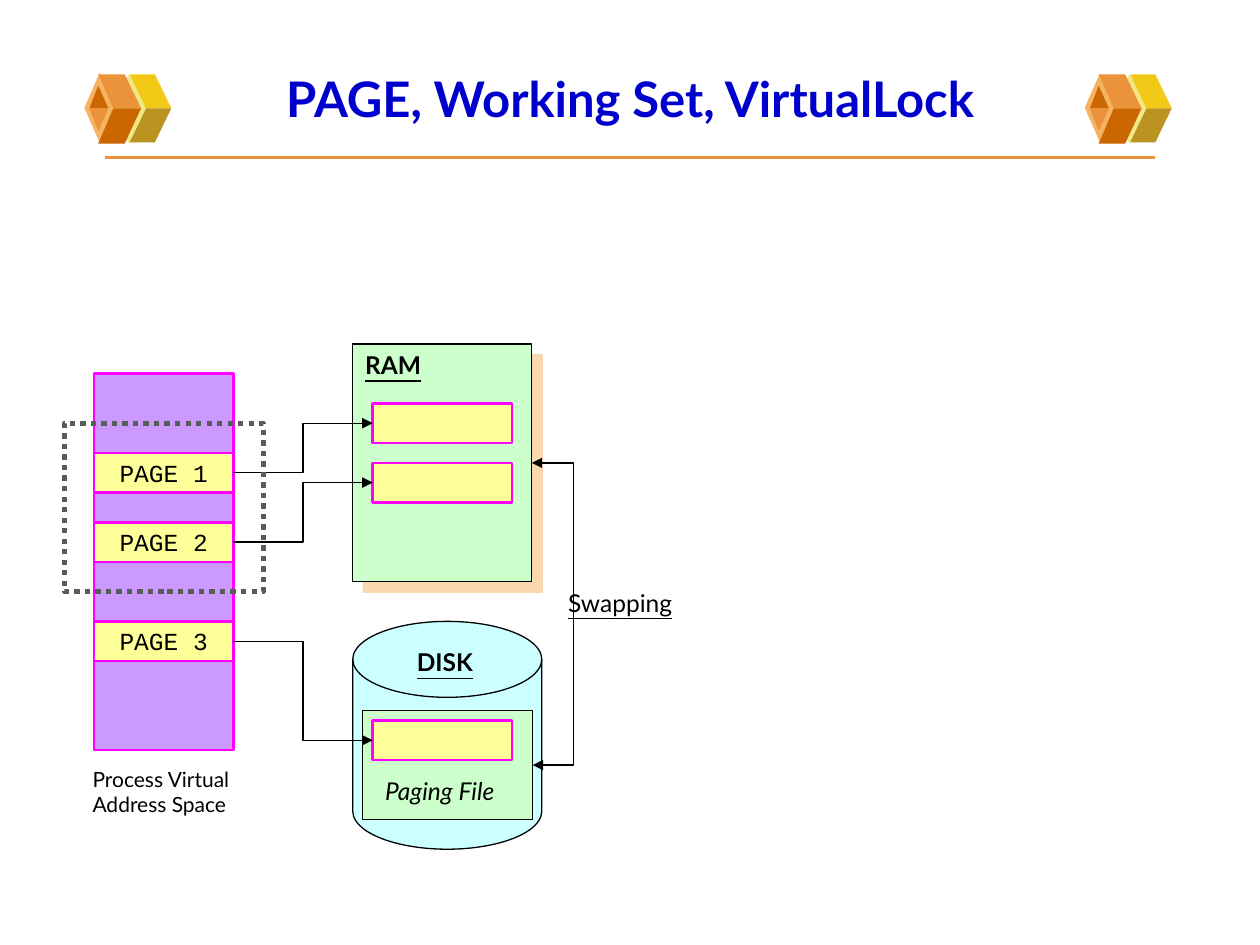
from lxml import etree
from pptx import Presentation
from pptx import util as u
from pptx.dml.color import RGBColor
from pptx.enum import dml, shapes, text
from pptx.oxml.ns import qn

WIDTH, HEIGHT = 10, 7.5
ORIGIN_X, ORIGIN_Y = 0.51, 2.73
CELL_W, CELL_H = 3.79 / 48, 4.01 / 51
PAGE_SIZE = (14, 4)
PAGE_COLUMN, FRAME_COLUMN = 3, 31
SWAP_BEND = 51.2

KINDS = {"rect": shapes.MSO_SHAPE.RECTANGLE, "diamond": shapes.MSO_SHAPE.DIAMOND,
         "disk": shapes.MSO_SHAPE.FLOWCHART_MAGNETIC_DISK}
TITLE = "PAGE, Working Set, VirtualLock"
# (caption, page row, frame row)
PAGES = [("PAGE 1", 11, 6), ("PAGE 2", 18, 12), ("PAGE 3", 28, 38)]
# name: kind, cells (column, row, columns, rows), fill, line, line width
AREAS = {
    "address space": ("rect", (3, 3, 14, 38), "CC99FF", "FF00FF", 1.5),
    "ram": ("rect", (29, 0, 18, 24), "CCFFCC", "000000", 0.75),
    "disk": ("disk", (29, 28, 19, 23), "CCFFFF", "000000", 0.75),
    "paging file": ("rect", (30, 37, 17.1, 11), "CCFFCC", "000000", 0.75),
}
WORKING_SET = ("rect", (0, 8, 20, 17), None, "585D57", 3)
# lines, cells, size, font styles
LABELS = [
    (["DISK"], (34.2, 30, 10, 4.3), 14, ("bold", "underline")),
    (["RAM"], (29, 0, 10, 4.3), 14, ("bold", "underline")),
    (["Paging File"], (31, 43, 15.2, 4.3), 14, ("italic",)),
    (["Process Virtual", "Address Space"], (1.6, 42, 19, 6.4), 12, ()),
    (["Swapping"], (49.4, 24, 15, 4.3), 14, ("underline",)),
]
# Cube faces in hundredths of an inch; a diamond has left, top, width, height
CUBE_LEFTS = (0, 794)
CUBE_FACES = [
    ("F1E785", (86, 59, 33, 55)),
    ("F3C917", [(116, 86), (136, 86), (123, 59), (103, 59)]),
    ("BB9321", [(116, 86), (136, 86), (123, 113), (103, 113)]),
    ("F5B363", (67, 58, 24, 55)),
    ("EB933B", [(90, 86), (112, 86), (99, 59), (78, 59)]),
    ("CC6600", [(90, 86), (112, 86), (99, 114), (78, 114)]),
    ("CC6600", [(78, 68), (71, 86), (86, 86)]),
    ("EB933B", [(78, 104), (71, 86), (86, 86)]),
]


def color(value):
    return RGBColor.from_string(value)


def inches(*values):
    return [u.Inches(value) for value in values]


def place(column, row, columns, rows):
    return inches(ORIGIN_X + column * CELL_W, ORIGIN_Y + row * CELL_H,
                  columns * CELL_W, rows * CELL_H)


def style(shape, fill, line=None, width=0):
    shape.shadow.inherit = False
    if fill:
        shape.fill.solid()
        shape.fill.fore_color.rgb = color(fill)
    else:
        shape.fill.background()
    if line:
        shape.line.color.rgb = color(line)
        shape.line.width = u.Pt(width)
    else:
        shape.line.fill.background()
    return shape


def add_area(slide, kind, cells, fill, line, width):
    shape = slide.shapes.add_shape(KINDS[kind], *place(*cells))
    return style(shape, fill, line, width)


def write(frame, lines, size, name="Lato", value="000000", align=None, styles=()):
    frame.text = "\n".join(lines)
    for paragraph in frame.paragraphs:
        paragraph.alignment = align
        font = paragraph.font
        font.size, font.name, font.color.rgb = u.Pt(size), name, color(value)
        for attribute in styles:
            setattr(font, attribute, True)


def add_page(slide, column, row, caption=None):
    page = add_area(slide, "rect", (column, row, *PAGE_SIZE), "FFFF99", "FF00FF", 1.5)
    if caption:
        page.text_frame.word_wrap = False
        page.text_frame.vertical_anchor = text.MSO_ANCHOR.MIDDLE
        write(page.text_frame, [caption], 14, "Courier New", align=text.PP_ALIGN.CENTER)
    return page


def add_line(slide, kind, ends, value, width):
    line = slide.shapes.add_connector(kind, *inches(*ends))
    line.line.color.rgb = color(value)
    line.line.width = u.Pt(width)
    etree.SubElement(line._element.spPr, qn("a:effectLst"))
    return line


def join(slide, start, start_side, end, end_side, heads):
    arrow = add_line(slide, shapes.MSO_CONNECTOR.ELBOW, (0, 0, 1, 1), "000000", 0.75)
    arrow.begin_connect(start, start_side)
    arrow.end_connect(end, end_side)
    for head in heads:
        etree.SubElement(arrow.line._get_or_add_ln(), qn("a:" + head), type="triangle")
    return arrow


def bend(arrow, x):
    share = (x - arrow.begin_x) / (arrow.end_x - arrow.begin_x)
    guides = arrow._element.spPr.find(qn("a:prstGeom")).get_or_add_avLst()
    etree.SubElement(guides, qn("a:gd"), name="adj1", fmla=f"val {round(share * 100000)}")


def add_shadow(shape, value):
    effects = shape._element.spPr.find(qn("a:effectLst"))
    shadow = etree.SubElement(effects, qn("a:outerShdw"), dist=str(u.Pt(8.5)),
                              dir="2700000", algn="ctr", rotWithShape="0")
    tint = etree.SubElement(shadow, qn("a:srgbClr"), val=value)
    etree.SubElement(tint, qn("a:alpha"), val="50000")


def add_cube(slide, left):
    for fill, outline in CUBE_FACES:
        if isinstance(outline, tuple):
            x, y, width, height = (value / 100 for value in outline)
            face = slide.shapes.add_shape(
                KINDS["diamond"], *inches(x + left / 100, y, width, height))
        else:
            points = [(x + left, y) for x, y in outline]
            builder = slide.shapes.build_freeform(*points[0], scale=u.Inches(0.01))
            builder.add_line_segments(points[1:], close=True)
            face = builder.convert_to_shape()
        style(face, fill)


def add_header(slide):
    title = slide.shapes.title
    title.left, title.top, title.width, title.height = inches(
        WIDTH * 0.05, HEIGHT * 0.04, WIDTH * 0.9, 0.95)
    title.text_frame.vertical_anchor = text.MSO_ANCHOR.MIDDLE
    write(title.text_frame, [TITLE], 28, value="0000CC",
          align=text.PP_ALIGN.CENTER, styles=("bold",))
    add_line(slide, shapes.MSO_CONNECTOR.STRAIGHT,
             (WIDTH / 12, HEIGHT / 6, WIDTH * 11 / 12, HEIGHT / 6), "EB933B", 2.25)
    for left in CUBE_LEFTS:
        add_cube(slide, left)


def add_diagram(slide):
    areas = {name: add_area(slide, *area) for name, area in AREAS.items()}
    add_shadow(areas["ram"], "F5B363")
    for caption, page_row, frame_row in PAGES:
        page = add_page(slide, PAGE_COLUMN, page_row, caption)
        frame = add_page(slide, FRAME_COLUMN, frame_row)
        join(slide, page, 3, frame, 1, ["tailEnd"])
    working_set = add_area(slide, *WORKING_SET)
    working_set.line.dash_style = dml.MSO_LINE.ROUND_DOT
    swap = join(slide, areas["ram"], 3, areas["paging file"], 3, ["headEnd", "tailEnd"])
    bend(swap, place(SWAP_BEND, 0, 0, 0)[0])
    for lines, cells, size, styles in LABELS:
        frame = slide.shapes.add_textbox(*place(*cells)).text_frame
        frame.word_wrap = True
        write(frame, lines, size, styles=styles)


def main():
    """Build the slide on paging between memory and disk."""
    presentation = Presentation()
    presentation.slide_width, presentation.slide_height = inches(WIDTH, HEIGHT)
    slide = presentation.slides.add_slide(presentation.slide_layouts[5])
    add_header(slide)
    add_diagram(slide)
    presentation.save("out.pptx")


if __name__ == "__main__":
    main()
